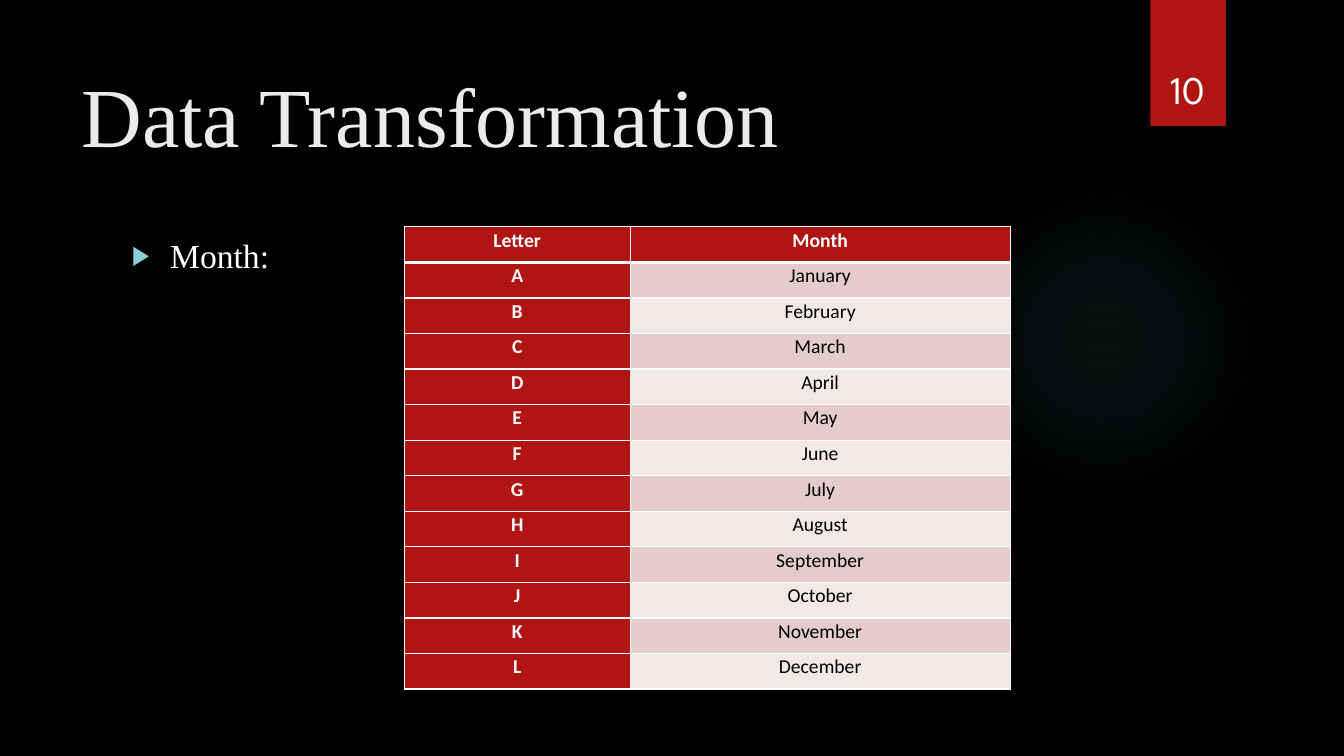
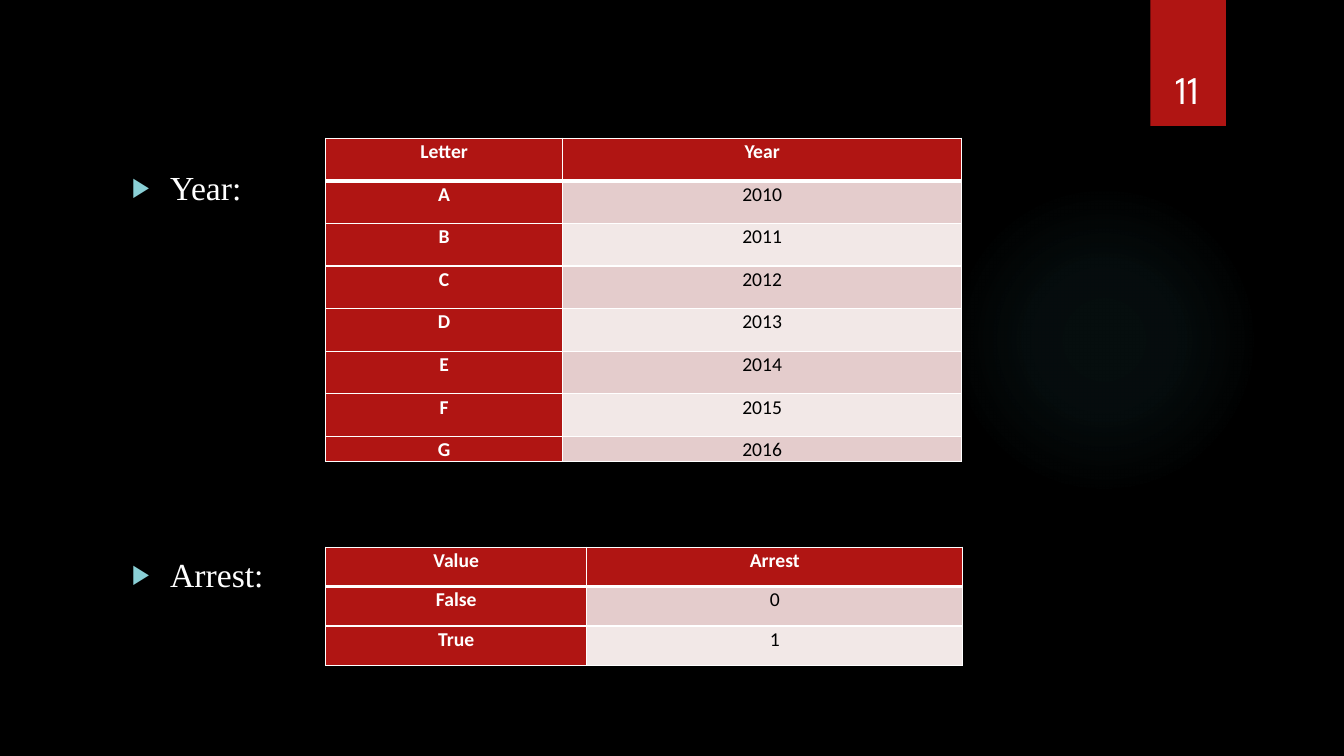
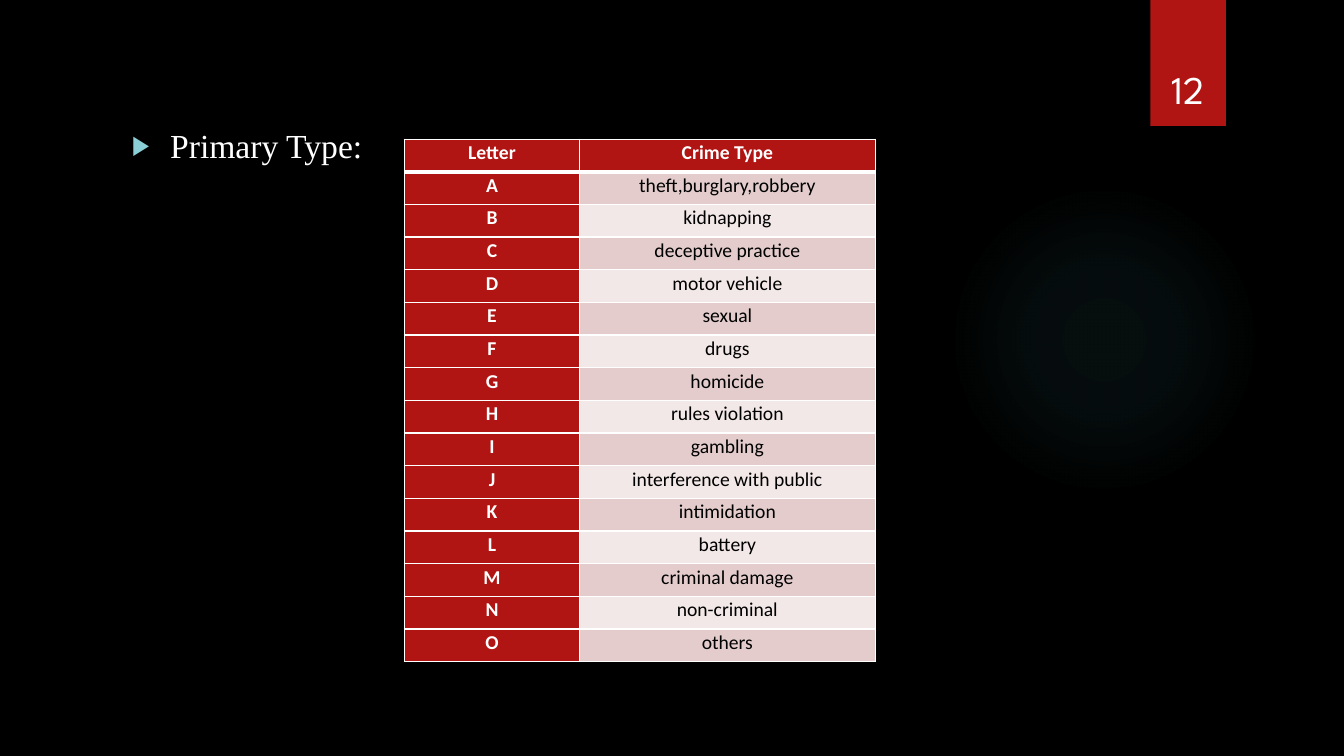
from dataclasses import dataclass

from pptx import Presentation, oxml
from pptx.dml.color import RGBColor
from pptx.enum import shapes, text
from pptx.oxml import ns
from pptx.util import Inches, Pt

BLACK = "000000"
WHITE = "FFFFFF"
RED = "B01513"
TEAL = "50B9C1"
BULLET = "8AD0D6"
TITLE_GREY = "EBEBEB"
ROW_FILLS = ("E4CCCC", "F2E8E7")

SERIF = "Times New Roman"
NUMBER_FONT = "League Spartan"
TABLE_FONT = "Calibri"

TITLE_ONLY, BLANK = 5, 6
LABEL_LEFT = 1.21
GLOW_STOPS = ((0, 7), (36, 6), (69, 0), (100, 0))


@dataclass
class LookupTable:
    label: str
    label_top: float
    left: float
    top: float
    height: float
    columns: tuple[float, float]
    rows: list[tuple[str, str]]
    last_row: float | None = None


@dataclass
class Page:
    number: int
    tables: list[LookupTable]
    title: str = ""


def lettered(heading: str, values: list[str]) -> list[tuple[str, str]]:
    letters = "ABCDEFGHIJKLMNO"
    return [("Letter", heading), *zip(letters, values)]


PAGES = [
    Page(10, [
        LookupTable("Month:", 2.25, 4.01, 2.25, 4.59, (2.24, 3.77), lettered("Month", [
            "January", "February", "March", "April", "May", "June", "July",
            "August", "September", "October", "November", "December"])),
    ], "Data Transformation"),
    Page(11, [
        LookupTable("Year:", 1.58, 3.23, 1.37, 3.21, (2.35, 3.96),
                    lettered("Year", [str(year) for year in range(2010, 2017)]), 0.25),
        LookupTable("Arrest:", 5.42, 3.23, 5.43, 1.17, (2.59, 3.73),
                    [("Value", "Arrest"), ("False", "0"), ("True", "1")]),
    ]),
    Page(12, [
        LookupTable("Primary Type:", 1.16, 4.01, 1.38, 5.19, (1.74, 2.93), lettered("Crime Type", [
            "theft,burglary,robbery", "kidnapping", "deceptive practice",
            "motor vehicle", "sexual", "drugs", "homicide", "rules violation",
            "gambling", "interference with public", "intimidation", "battery",
            "criminal damage", "non-criminal", "others"])),
    ]),
]


def color(value: str) -> RGBColor:
    return RGBColor.from_string(value)


def add_run(paragraph, content: str, font: str, size: float, fill: str, bold: bool = False) -> None:
    run = paragraph.add_run()
    run.text = content
    run.font.name = font
    run.font.size = Pt(size)
    run.font.bold = bold
    run.font.color.rgb = color(fill)


def add_plain_shape(slide, kind, left: float, top: float, width: float, height: float):
    shape = slide.shapes.add_shape(kind, Inches(left), Inches(top), Inches(width), Inches(height))
    shape.shadow.inherit = False
    shape.line.fill.background()
    return shape


def add_text_box(slide, left: float, top: float, width: float, height: float):
    box = slide.shapes.add_textbox(Inches(left), Inches(top), Inches(width), Inches(height))
    box.text_frame.word_wrap = True
    return box.text_frame


def draw_glow(slide) -> None:
    glow = add_plain_shape(slide, shapes.MSO_SHAPE.OVAL, 9.41, 1.83, 3.08, 3.08)
    glow.fill.background()
    stops = "".join(
        f'<a:gs pos="{position * 1000}"><a:srgbClr val="{TEAL}">'
        f'<a:alpha val="{alpha * 1000}"/></a:srgbClr></a:gs>'
        for position, alpha in GLOW_STOPS)
    gradient = oxml.parse_xml(
        f'<a:gradFill {ns.nsdecls("a")} rotWithShape="1"><a:gsLst>{stops}</a:gsLst>'
        '<a:path path="circle"><a:fillToRect l="50000" t="50000" r="50000" b="50000"/></a:path>'
        '</a:gradFill>')
    properties = glow.element.spPr
    properties.replace(properties.find(ns.qn("a:noFill")), gradient)


def draw_number(slide, number: int) -> None:
    band = add_plain_shape(slide, shapes.MSO_SHAPE.RECTANGLE, 11.41, 0, 0.75, 1.25)
    band.fill.solid()
    band.fill.fore_color.rgb = color(RED)
    frame = add_text_box(slide, 11.32, 0.32, 0.92, 0.84)
    frame.vertical_anchor = text.MSO_ANCHOR.BOTTOM
    paragraph = frame.paragraphs[0]
    paragraph.alignment = text.PP_ALIGN.CENTER
    add_run(paragraph, str(number), NUMBER_FONT, 28, WHITE)


def draw_title(slide, title: str) -> None:
    shape = slide.shapes.title
    shape.left, shape.top = Inches(0.71), Inches(0.5)
    shape.width, shape.height = Inches(10.29), Inches(1.53)
    frame = shape.text_frame
    frame.auto_size = text.MSO_AUTO_SIZE.NONE
    frame.vertical_anchor = text.MSO_ANCHOR.TOP
    frame.margin_top = Inches(0.13)
    paragraph = frame.paragraphs[0]
    paragraph.alignment = text.PP_ALIGN.LEFT
    add_run(paragraph, title, SERIF, 60, TITLE_GREY)


def draw_label(slide, table: LookupTable) -> None:
    frame = add_text_box(slide, LABEL_LEFT, table.label_top, table.left - LABEL_LEFT, 0.6)
    frame.margin_top = Inches(0.08)
    paragraph = frame.paragraphs[0]
    add_run(paragraph, table.label, SERIF, 24, WHITE)
    properties = paragraph._p.get_or_add_pPr()
    properties.set("marL", str(Inches(0.38)))
    properties.set("indent", str(Inches(-0.38)))
    for element in (f'<a:buClr {ns.nsdecls("a")}><a:srgbClr val="{BULLET}"/></a:buClr>',
                    f'<a:buSzPct {ns.nsdecls("a")} val="80000"/>',
                    f'<a:buFont {ns.nsdecls("a")} typeface="Arial"/>',
                    f'<a:buChar {ns.nsdecls("a")} char="▶"/>'):
        properties.append(oxml.parse_xml(element))


def set_borders(cell, top: float, bottom: float) -> None:
    properties = cell._tc.get_or_add_tcPr()
    sides = (("L", 1), ("R", 1), ("T", top), ("B", bottom))
    for index, (side, width) in enumerate(sides):
        properties.insert(index, oxml.parse_xml(
            f'<a:ln{side} {ns.nsdecls("a")} w="{Pt(width)}"><a:solidFill>'
            f'<a:srgbClr val="{WHITE}"/></a:solidFill></a:ln{side}>'))


def draw_cell(cell, content: str, row: int, column: int) -> None:
    strong = row == 0 or column == 0
    cell.fill.solid()
    cell.fill.fore_color.rgb = color(RED if strong else ROW_FILLS[(row - 1) % 2])
    cell.margin_left = cell.margin_right = Inches(0.07)
    cell.margin_top = cell.margin_bottom = 0
    paragraph = cell.text_frame.paragraphs[0]
    paragraph.alignment = text.PP_ALIGN.CENTER
    paragraph.line_spacing = 1.07
    add_run(paragraph, content, TABLE_FONT, 14, WHITE if strong else BLACK, strong)
    set_borders(cell, 3 if row == 1 else 1, 3 if row == 0 else 1)


def draw_table(slide, table: LookupTable) -> None:
    count = len(table.rows)
    grid = slide.shapes.add_table(
        count, len(table.columns), Inches(table.left), Inches(table.top),
        Inches(sum(table.columns)), Inches(table.height)).table
    for column, width in zip(grid.columns, table.columns):
        column.width = Inches(width)
    heights = [table.height / count] * count
    if table.last_row is not None:
        heights = [(table.height - table.last_row) / (count - 1)] * (count - 1) + [table.last_row]
    for row, (height, contents) in enumerate(zip(heights, table.rows)):
        grid.rows[row].height = Inches(height)
        for column, content in enumerate(contents):
            draw_cell(grid.cell(row, column), content, row, column)


def draw_page(presentation, page: Page) -> None:
    layout = presentation.slide_layouts[TITLE_ONLY if page.title else BLANK]
    slide = presentation.slides.add_slide(layout)
    draw_glow(slide)
    draw_number(slide, page.number)
    if page.title:
        draw_title(slide, page.title)
    for table in page.tables:
        draw_label(slide, table)
        draw_table(slide, table)


def main() -> None:
    presentation = Presentation()
    presentation.slide_width = Inches(13.33)
    presentation.slide_height = Inches(7.5)
    background = presentation.slide_master.background.fill
    background.solid()
    background.fore_color.rgb = color(BLACK)
    for page in PAGES:
        draw_page(presentation, page)
    presentation.save("out.pptx")


if __name__ == "__main__":
    main()
